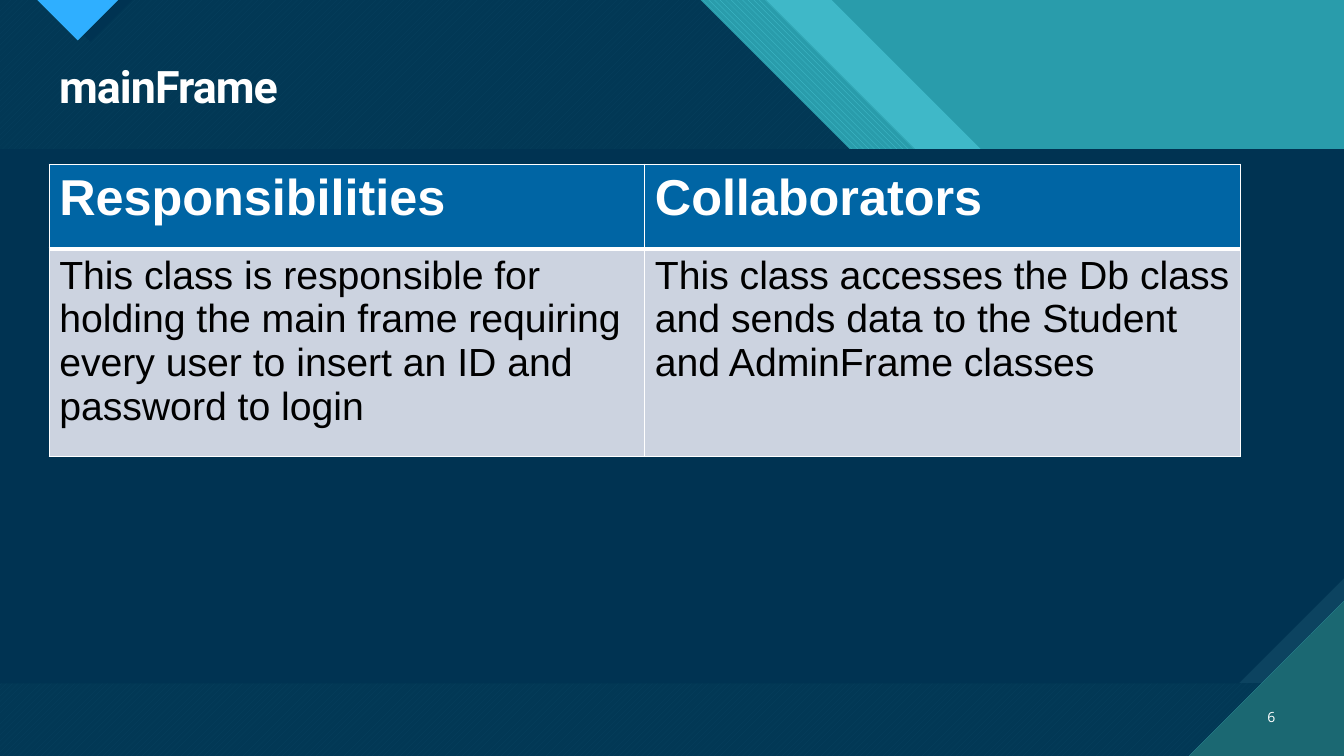
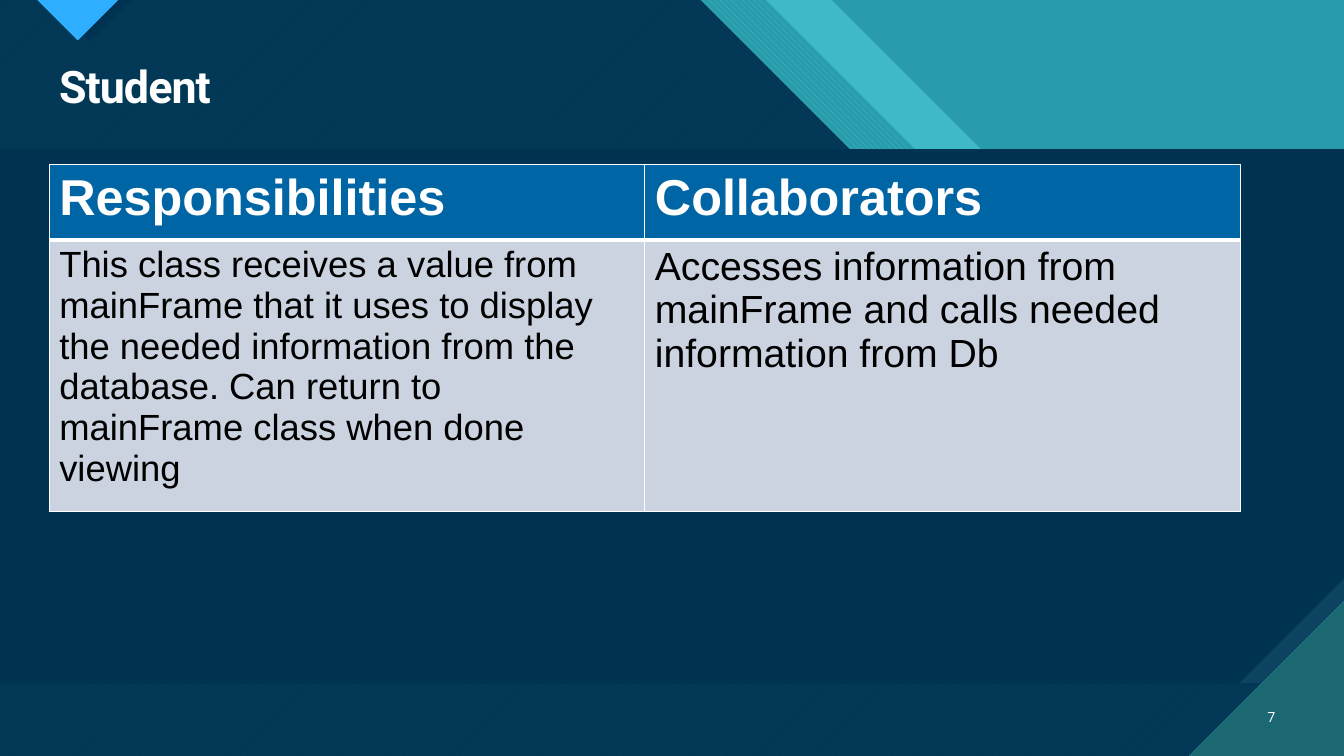
from lxml import etree
from pptx import Presentation
from pptx.dml.color import RGBColor
from pptx.enum.dml import MSO_PATTERN
from pptx.enum.shapes import MSO_SHAPE
from pptx.enum.text import MSO_ANCHOR, PP_ALIGN
from pptx.oxml import parse_xml
from pptx.oxml.ns import nsdecls, qn
from pptx.util import Cm, Pt

NAVY = RGBColor(0x00, 0x33, 0x52)
SLATE = RGBColor(0x0C, 0x43, 0x60)
DEEP_TEAL = RGBColor(0x1B, 0x68, 0x72)
TEAL = RGBColor(0x29, 0x9C, 0xAB)
AQUA = RGBColor(0x47, 0xC3, 0xD3)
SKY = RGBColor(0x2F, 0xAF, 0xFF)
HEADER_BLUE = RGBColor(0x00, 0x65, 0xA4)
CELL_GREY = RGBColor(0xCC, 0xD3, 0xE0)
WHITE = RGBColor(0xFF, 0xFF, 0xFF)
BLACK = RGBColor(0x00, 0x00, 0x00)

WIDTH, HEIGHT = 33.87, 19.05
MARGIN = 1.24
COLUMN_WIDTH = 15.01

SLIDES = [
    (6, "mainFrame", (2.13, 5.23), [
        ("This class is responsible for holding the main frame requiring "
         "every user to insert an ID and password to login", 28),
        ("This class accesses the Db class and sends data to the Student "
         "and AdminFrame classes", 28)]),
    (7, "Student", (1.9, 6.6), [
        ("This class receives a value from mainFrame that it uses to display "
         "the needed information from the database. Can return to mainFrame "
         "class when done viewing", 26),
        ("Accesses information from mainFrame and calls needed information "
         "from Db", 28)]),
]


def paint(shape, color, pattern=None, back=None, alpha=None):
    shape.shadow.inherit = False
    shape.line.fill.background()
    if pattern:
        shape.fill.patterned()
        shape.fill.pattern = pattern
        shape.fill.fore_color.rgb = color
        shape.fill.back_color.rgb = back
    else:
        shape.fill.solid()
        shape.fill.fore_color.rgb = color
    if alpha:
        rgb = shape.element.spPr.find(qn("a:solidFill")).find(qn("a:srgbClr"))
        etree.SubElement(rgb, qn("a:alpha")).set("val", str(alpha * 1000))


def write(frame, text, size, font, color, bold=False):
    frame.word_wrap = True
    paragraph = frame.paragraphs[0]
    run = paragraph.add_run()
    run.text = text
    run.font.size = Pt(size)
    run.font.name = font
    run.font.bold = bold
    run.font.color.rgb = color
    return paragraph


prs = Presentation()
prs.slide_width, prs.slide_height = Cm(WIDTH), Cm(HEIGHT)
layout = prs.slide_layouts[6]
for placeholder in list(layout.placeholders):
    layout.shapes.element.remove(placeholder.element)
layout.background.fill.solid()
layout.background.fill.fore_color.rgb = AQUA
slides = [prs.slides.add_slide(layout) for _ in SLIDES]

shapes = slides[0].shapes
backdrop = shapes.add_shape(MSO_SHAPE.RECTANGLE, 0, 0, Cm(WIDTH), Cm(HEIGHT))
paint(backdrop, TEAL)

bands = [
    (20.96, dict(color=AQUA, alpha=74)),
    (19.3, dict(color=AQUA, pattern=MSO_PATTERN.WIDE_DOWNWARD_DIAGONAL, back=TEAL)),
    (17.65, dict(color=AQUA, pattern=MSO_PATTERN.WIDE_UPWARD_DIAGONAL, back=DEEP_TEAL)),
    (17.65, dict(color=NAVY, alpha=90)),
]
outlines = [([(0, 0), (edge, 0), (WIDTH, WIDTH - edge), (WIDTH, HEIGHT), (0, HEIGHT)], style)
            for edge, style in bands]
outlines += [
    ([(1.22, 0), (3.33, 0), (2.28, 1.05)], dict(color=NAVY)),
    ([(0.94, 0), (2.98, 0), (1.96, 1.02)],
     dict(color=SKY, pattern=MSO_PATTERN.DARK_HORIZONTAL, back=DEEP_TEAL)),
]
corner = ([(WIDTH - 3.91, HEIGHT), (WIDTH, HEIGHT), (WIDTH, HEIGHT - 3.91)],
          dict(color=DEEP_TEAL, pattern=MSO_PATTERN.DARK_HORIZONTAL, back=AQUA))
panels = [
    (0, dict(color=SLATE, pattern=MSO_PATTERN.DARK_VERTICAL, back=DEEP_TEAL)),
    (0.197, dict(color=NAVY)),
]
for points, style in outlines + panels + [corner]:
    if isinstance(points, list):
        start, *rest = [(Cm(x), Cm(y)) for x, y in points]
        builder = shapes.build_freeform(*start, scale=1.0)
        builder.add_line_segments(rest, close=True)
        shape = builder.convert_to_shape()
    else:
        shape = shapes.add_shape(MSO_SHAPE.SNIP_1_RECTANGLE, 0, Cm(3.76), Cm(WIDTH), Cm(13.46))
        shape.adjustments[0] = points
        shape.element.spPr.find(qn("a:xfrm")).set("flipV", "1")
    paint(shape, **style)

for shape in list(shapes):
    layout.shapes.element.append(shape.element)

for slide, (number, title, row_heights, body) in zip(slides, SLIDES):
    number_box = slide.shapes.add_textbox(Cm(31.27), Cm(17.55), Cm(1.12), Cm(1.02))
    number_box.text_frame.vertical_anchor = MSO_ANCHOR.MIDDLE
    write(number_box.text_frame, str(number), 10, "Open Sans", WHITE).alignment = PP_ALIGN.RIGHT

    title_box = slide.shapes.add_textbox(Cm(MARGIN), Cm(1.5), Cm(31.14), Cm(1.5))
    heading = write(title_box.text_frame, title, 32, "Roboto", WHITE, bold=True)
    heading.line_spacing = 0.9
    heading.runs[0].font._element.set("spc", "-70")

    table = slide.shapes.add_table(2, 2, Cm(MARGIN), Cm(4.14), Cm(2 * COLUMN_WIDTH),
                                   Cm(sum(row_heights))).table
    rows = [[("Responsibilities", 36), ("Collaborators", 36)], body]
    for column in table.columns:
        column.width = Cm(COLUMN_WIDTH)
    for r, row in enumerate(rows):
        table.rows[r].height = Cm(row_heights[r])
        is_header = r == 0
        for c, (text, size) in enumerate(row):
            cell = table.cell(r, c)
            cell.fill.solid()
            cell.fill.fore_color.rgb = HEADER_BLUE if is_header else CELL_GREY
            write(cell.text_frame, text, size, "Arial", WHITE if is_header else BLACK, is_header)
            divider = "B" if is_header else "T"
            for i, side in enumerate("LRTB"):
                points = 3 if side == divider else 1
                cell._tc.tcPr.insert(i, parse_xml(
                    f'<a:ln{side} {nsdecls("a")} w="{Pt(points)}"><a:solidFill>'
                    f'<a:srgbClr val="{WHITE}"/></a:solidFill></a:ln{side}>'))

prs.save("out.pptx")
